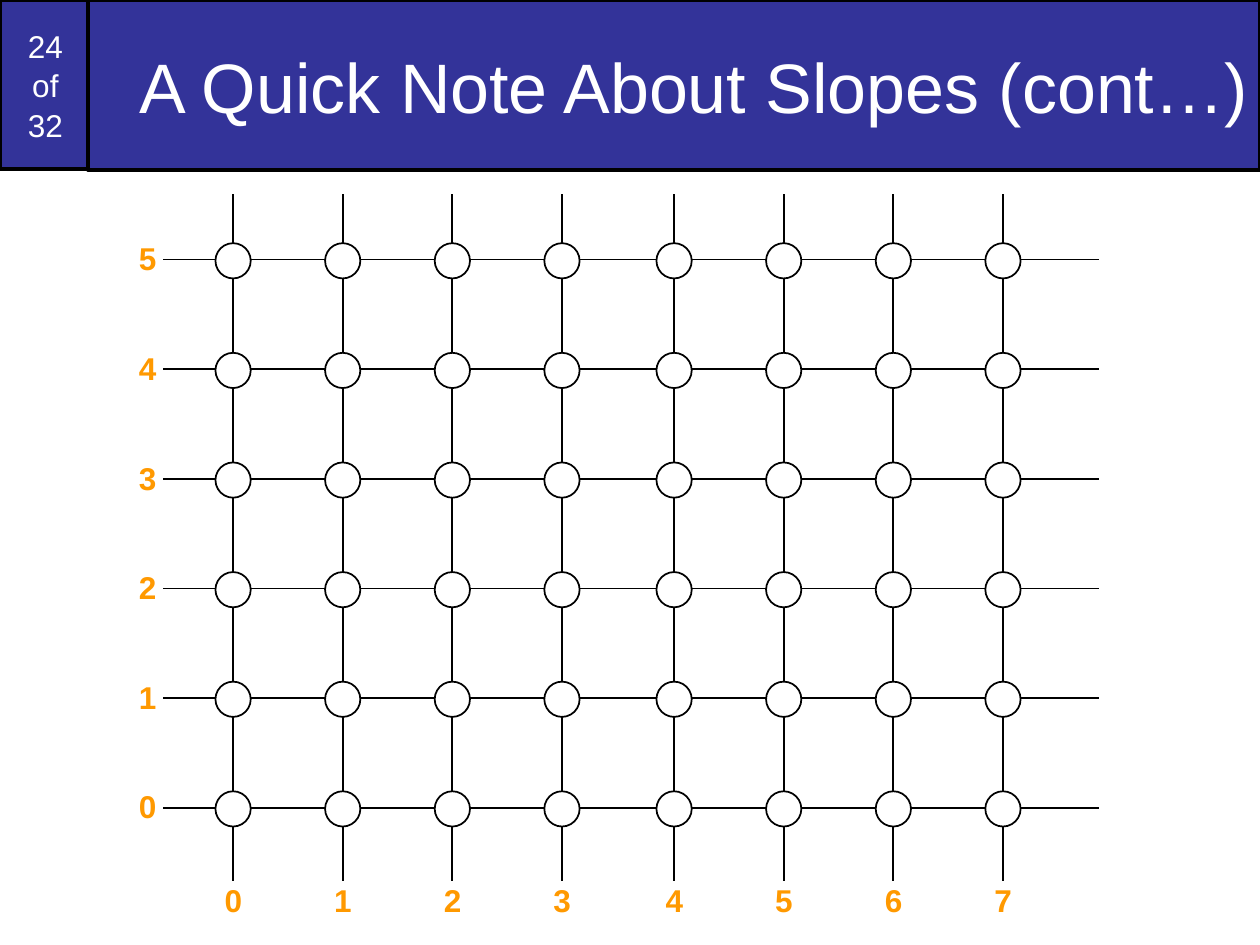
import pptx
import pptx.dml.color
import pptx.enum.shapes
import pptx.enum.text
import pptx.util
from dataclasses import dataclass
from lxml import etree

Inches = pptx.util.Inches
Pt = pptx.util.Pt
Align = pptx.enum.text.PP_ALIGN
Anchor = pptx.enum.text.MSO_ANCHOR
Preset = pptx.enum.shapes.MSO_SHAPE


@dataclass(frozen=True)
class Theme:
    font: str = "Arial"
    banner: str = "333399"
    banner_text: str = "FFFFFF"
    pixel: str = "FFFFFF"
    outline: str = "000000"
    axis: str = "FF9900"
    title_size: int = 40
    small_size: int = 18
    banner_line: float = 2
    grid_line: float = 1


def rgb(value):
    return pptx.dml.color.RGBColor.from_string(value)


def write(frame, text, *, font, size, color, bold=False, align=Align.CENTER, spacing=None):
    paragraph = frame.paragraphs[0]
    paragraph.text = text
    paragraph.alignment = align
    paragraph.line_spacing = spacing
    for run in paragraph.runs:
        run.font.name = font
        run.font.size = Pt(size)
        run.font.bold = bold
        run.font.color.rgb = rgb(color)


class SlideBuilder:
    def __init__(self, slide, theme):
        self.shapes = slide.shapes
        self.theme = theme

    def outlined(self, preset, left, top, width, height, fill, line_width):
        shape = self.shapes.add_shape(
            preset, Inches(left), Inches(top), Inches(width), Inches(height))
        shape.shadow.inherit = False
        shape.fill.solid()
        shape.fill.fore_color.rgb = rgb(fill)
        shape.line.color.rgb = rgb(self.theme.outline)
        shape.line.width = Pt(line_width)
        return shape

    def banner(self, text, left, width, height, **text_format):
        theme = self.theme
        panel = self.outlined(
            Preset.RECTANGLE, left, 0, width, height, theme.banner, theme.banner_line)
        panel.text_frame.word_wrap = True
        panel.text_frame.vertical_anchor = Anchor.MIDDLE
        write(panel.text_frame, text, font=theme.font, color=theme.banner_text, **text_format)

    def grid_line(self, x1, y1, x2, y2):
        line = self.shapes.add_connector(
            pptx.enum.shapes.MSO_CONNECTOR.STRAIGHT,
            Inches(x1), Inches(y1), Inches(x2), Inches(y2))
        line.line.color.rgb = rgb(self.theme.outline)
        line.line.width = Pt(self.theme.grid_line)
        etree.SubElement(line._element.spPr, pptx.oxml.ns.qn("a:effectLst"))

    def pixel(self, x, y, diameter=0.28):
        self.outlined(Preset.OVAL, x - diameter / 2, y - diameter / 2, diameter, diameter,
                      self.theme.pixel, self.theme.grid_line)

    def axis_label(self, text, left, top):
        theme = self.theme
        label = self.shapes.add_textbox(Inches(left), Inches(top), Inches(0.34), Inches(0.4))
        label.text_frame.word_wrap = False
        label.text_frame.auto_size = pptx.enum.text.MSO_AUTO_SIZE.SHAPE_TO_FIT_TEXT
        write(label.text_frame, text, font=theme.font, size=theme.small_size,
              color=theme.axis, bold=True, align=Align.RIGHT)


def main():
    deck = pptx.Presentation()
    deck.slide_width, deck.slide_height = Inches(10), Inches(7.5)
    theme = Theme()
    builder = SlideBuilder(deck.slides.add_slide(deck.slide_layouts[6]), theme)

    builder.banner("24\vof\v32", 0, 0.72, 1.34, size=theme.small_size, spacing=1.05)
    builder.banner("A Quick Note About Slopes (cont…)", 0.7, 9.3, 1.35,
                   size=theme.title_size, align=Align.RIGHT)

    pitch = 0.87
    half_gap = 0.02  # the right four columns stand slightly apart
    columns = [1.85 + pitch * i + (half_gap if i >= 4 else 0) for i in range(8)]
    rows = [6.41 - pitch * i for i in range(6)]

    for y in rows:
        builder.grid_line(8.72, y, 1.29, y)
    for x in columns:
        builder.grid_line(x, 1.54, x, 6.99)
    for y in rows:
        for x in columns:
            builder.pixel(x, y + 0.01)
    for number, y in enumerate(rows):
        builder.axis_label(str(number), 1, y - 0.21)
    for number, x in enumerate(columns):
        builder.axis_label(str(number), x - 0.17, 6.94)

    deck.save("out.pptx")


if __name__ == "__main__":
    main()
